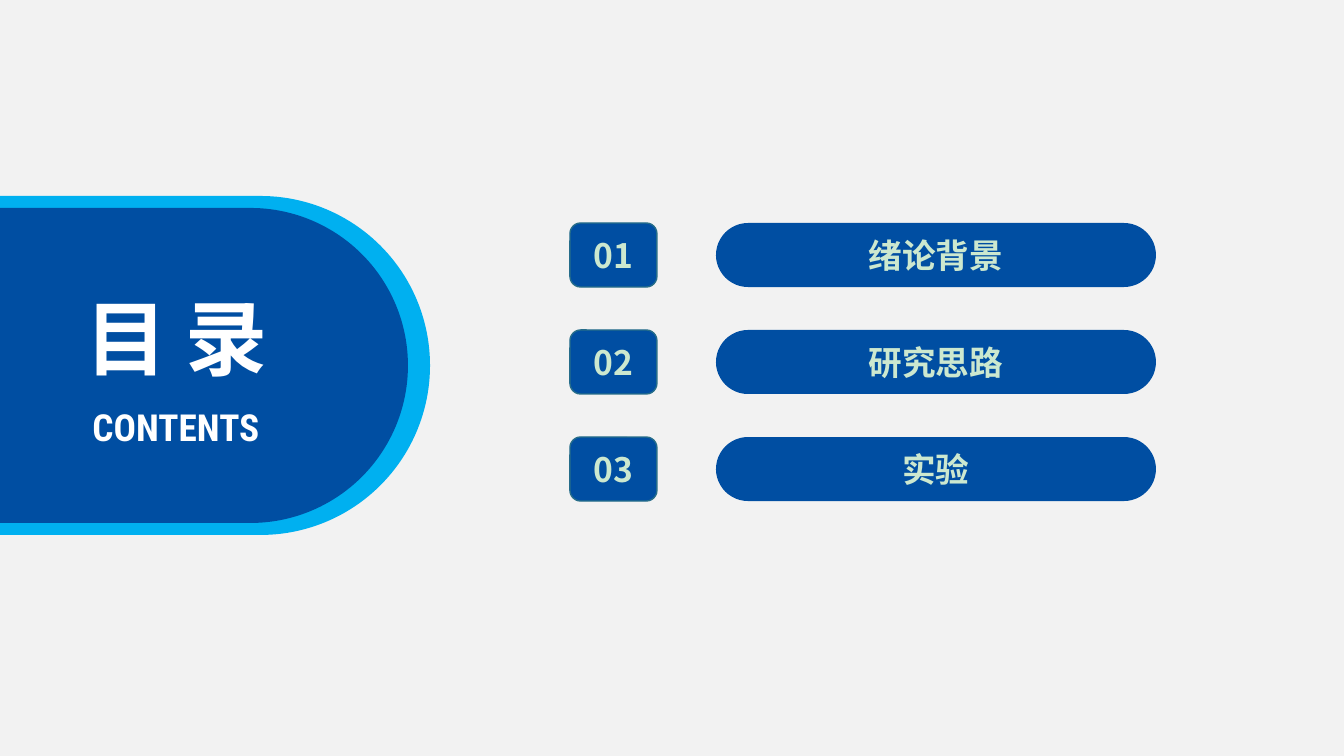
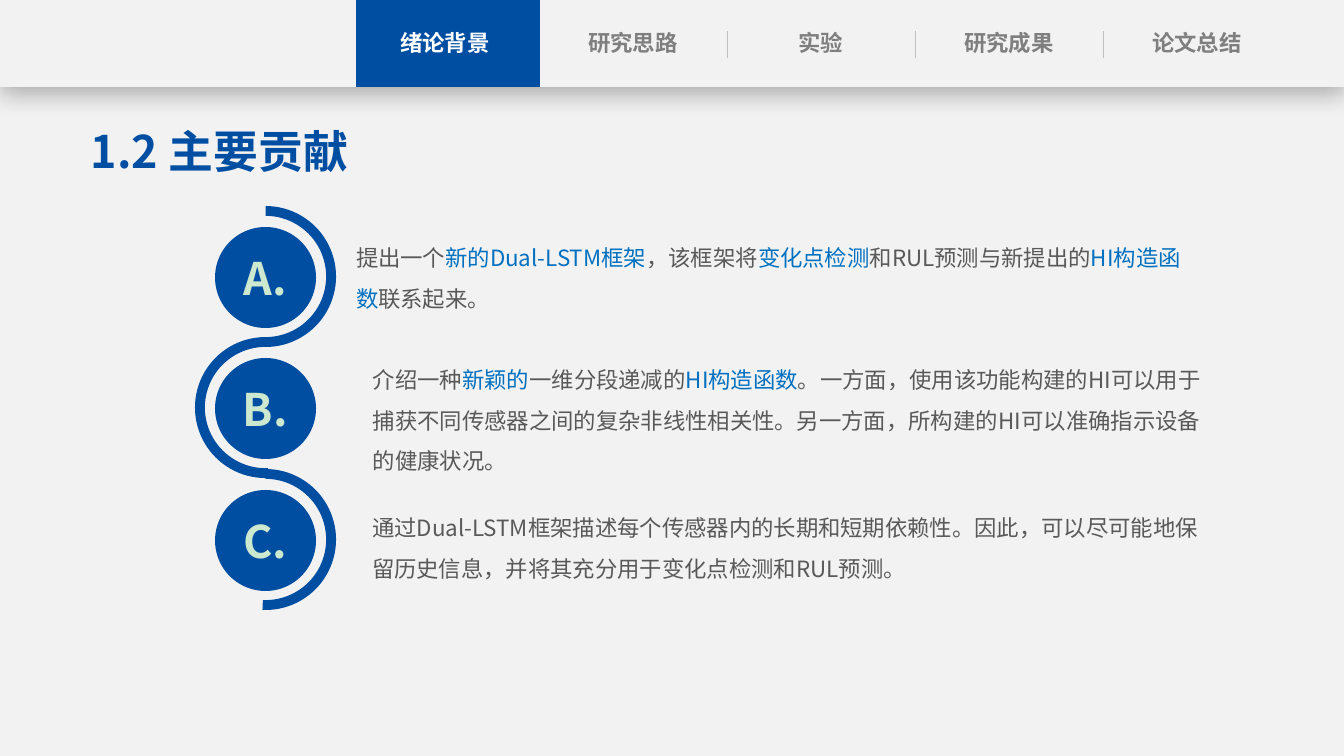
import pptx
import pptx.dml.color
import pptx.enum.shapes
import pptx.enum.text
import pptx.oxml
import pptx.oxml.ns
import pptx.util

RGBColor = pptx.dml.color.RGBColor
SHAPE = pptx.enum.shapes.MSO_SHAPE
ANCHOR = pptx.enum.text.MSO_ANCHOR
ALIGN = pptx.enum.text.PP_ALIGN

BLUE = RGBColor(0x00, 0x4E, 0xA2)
SKY = RGBColor(0x00, 0xB0, 0xF0)
TEAL = RGBColor(0x26, 0x6D, 0x8A)
MINT = RGBColor(0xCC, 0xE8, 0xCF)
ACCENT = RGBColor(0x00, 0x70, 0xC0)
PALE = RGBColor(0xF2, 0xF2, 0xF2)
WHITE = RGBColor(0xFF, 0xFF, 0xFF)
SILVER = RGBColor(0xBF, 0xBF, 0xBF)
GRAY = RGBColor(0x7F, 0x7F, 0x7F)
DARK = RGBColor(0x59, 0x59, 0x59)

SHADOW = (
    '<a:effectLst %s><a:outerShdw blurRad="228600" dist="50800" dir="5400000">'
    '<a:srgbClr val="000000"><a:alpha val="29000"/></a:srgbClr>'
    '</a:outerShdw></a:effectLst>' % pptx.oxml.ns.nsdecls("a")
)


class Deck:
    font_name = "Noto Sans CJK SC"
    pixel = pptx.util.Inches(1) / 100.8

    def __init__(self):
        self.presentation = pptx.Presentation()
        self.presentation.slide_width = self.length(1344)
        self.presentation.slide_height = self.length(756)
        fill = self.presentation.slide_master.background.fill
        fill.solid()
        fill.fore_color.rgb = PALE
        self.slide = None

    def length(self, pixels):
        return pptx.util.Emu(round(pixels * self.pixel))

    def box(self, *pixels):
        return [self.length(value) for value in pixels]

    def add_slide(self):
        layout = self.presentation.slide_layouts.get_by_name("Title Only")
        self.slide = self.presentation.slides.add_slide(layout)

    def style(self, paragraph, size, color, bold=True, name=None):
        font = paragraph.font
        font.size = pptx.util.Pt(size)
        font.bold = bold
        font.color.rgb = color
        font.name = name or self.font_name
        east_asian = pptx.oxml.parse_xml("<a:ea %s/>" % pptx.oxml.ns.nsdecls("a"))
        east_asian.set("typeface", font.name)
        paragraph._p.pPr.defRPr.append(east_asian)

    def put_text(self, shape, text, size, color, anchor=ANCHOR.MIDDLE, margins=(0, 0), wrap=True, name=None):
        frame = shape.text_frame
        frame.auto_size = pptx.enum.text.MSO_AUTO_SIZE.NONE
        frame.word_wrap = wrap
        frame.vertical_anchor = anchor
        frame.margin_left = frame.margin_right = self.length(margins[0])
        frame.margin_top = frame.margin_bottom = self.length(margins[1])
        paragraph = frame.paragraphs[0]
        paragraph.text = text
        paragraph.alignment = ALIGN.CENTER
        self.style(paragraph, size, color, name=name)

    def title(self, text, box, size, color, wrap=True):
        shape = self.slide.shapes.title
        shape.left, shape.top, shape.width, shape.height = self.box(*box)
        self.slide.shapes._spTree.append(shape._element)
        self.put_text(shape, text, size, color, ANCHOR.TOP, (0, 5), wrap)

    def label(self, text, box, size, color, wrap=True, name=None):
        shape = self.slide.shapes.add_textbox(*self.box(*box))
        self.put_text(shape, text, size, color, ANCHOR.TOP, (0, 5), wrap, name)

    def shape(self, kind, box, fill=BLUE, line=None, adjustments=(), rotation=0):
        shape = self.slide.shapes.add_shape(kind, *self.box(*box))
        shape.shadow.inherit = False
        shape.fill.solid()
        shape.fill.fore_color.rgb = fill
        if line is None:
            shape.line.fill.background()
        else:
            shape.line.color.rgb = line
            shape.line.width = pptx.util.Pt(1)
        for index, value in enumerate(adjustments):
            shape.adjustments[index] = value
        shape.rotation = rotation
        return shape

    def pill(self, box, fill=BLUE):
        return self.shape(SHAPE.ROUNDED_RECTANGLE, box, fill, adjustments=(0.5,))

    def band(self, box):
        shape = self.shape(SHAPE.RECTANGLE, box, PALE)
        properties = shape._element.spPr
        properties.remove(properties.find(pptx.oxml.ns.qn("a:effectLst")))
        properties.append(pptx.oxml.parse_xml(SHADOW))

    def separator(self, x, top, bottom):
        connector = self.slide.shapes.add_connector(
            pptx.enum.shapes.MSO_CONNECTOR.STRAIGHT, *self.box(x, top, x, bottom)
        )
        connector.line.color.rgb = SILVER
        connector.line.width = pptx.util.Pt(0.5)
        effects = pptx.oxml.parse_xml("<a:effectLst %s/>" % pptx.oxml.ns.nsdecls("a"))
        connector._element.spPr.append(effects)

    def body(self, pieces, box):
        frame = self.slide.shapes.add_textbox(*self.box(*box)).text_frame
        frame.word_wrap = True
        frame.margin_left = frame.margin_right = 0
        frame.margin_top = frame.margin_bottom = 0
        paragraph = frame.paragraphs[0]
        paragraph.line_spacing = 1.5
        self.style(paragraph, 16, DARK, bold=False)
        for index, piece in enumerate(pieces):
            run = paragraph.add_run()
            run.text = piece
            if index % 2:
                run.font.color.rgb = ACCENT


SECTIONS = ["绪论背景", "研究思路", "实验", "研究成果", "论文总结"]
CONTRIBUTIONS = [
    ("A.", (356, 231, 835, 77),
     ["提出一个", "新的Dual-LSTM框架", "，该框架将", "变化点检测",
      "和RUL预测与新提出的", "HI构造函数", "联系起来。"]),
    ("B.", (373, 353, 835, 117),
     ["介绍一种", "新颖的", "一维分段递减的", "HI构造函数",
      "。一方面，使用该功能构建的HI可以用于捕获不同传感器之间的复杂非线性相关性。"
      "另一方面，所构建的HI可以准确指示设备的健康状况。"]),
    ("C.", (372, 501, 835, 77),
     ["通过Dual-LSTM框架描述每个传感器内的长期和短期依赖性。因此，可以尽可能地"
      "保留历史信息，并将其充分用于变化点检测和RUL预测。"]),
]


def build_contents(deck):
    deck.add_slide()
    deck.pill((-193, 196, 623, 339), SKY)
    deck.pill((-171, 208, 579, 315))
    deck.title("目 录", (71, 282, 211, 110), 58.6, WHITE, wrap=False)
    deck.label("CONTENTS", (62, 399, 228, 55), 26.6, WHITE, False, "Roboto Condensed")
    for index, section in enumerate(SECTIONS[:3]):
        top = 223 + 107 * index
        number = deck.shape(SHAPE.ROUNDED_RECTANGLE, (570, top, 87, 64), line=TEAL)
        deck.put_text(number, f"{index + 1:02}", 24, MINT)
        deck.put_text(deck.pill((716, top, 440, 64)), section, 24, MINT)


def build_contributions(deck):
    deck.add_slide()
    deck.band((0, 0, 1344, 87))
    deck.shape(SHAPE.RECTANGLE, (356, 0, 184, 87))
    for index, section in enumerate(SECTIONS):
        left = 371 + 188 * index
        deck.label(section, (left, 24, 148, 38), 16, GRAY if index else WHITE)
        if index > 1:
            deck.separator(left - 20, 31, 58)
    deck.title("1.2 主要贡献", (66, 119, 307, 65), 32, BLUE)
    for index, (letter, box, pieces) in enumerate(CONTRIBUTIONS):
        offset = 263 * index // 2
        sweep, rotation = ((106.5, 0), 270) if index % 2 else ((108, 1.5), 90)
        deck.shape(SHAPE.BLOCK_ARC, (195, 206 + offset, 141, 141),
                   adjustments=(*sweep, 0.07), rotation=rotation)
        circle = deck.shape(SHAPE.OVAL, (215, 227 + offset, 101, 101))
        deck.put_text(circle, letter, 32, MINT)
        deck.body(pieces, box)


deck = Deck()
build_contents(deck)
build_contributions(deck)
deck.presentation.save("out.pptx")
